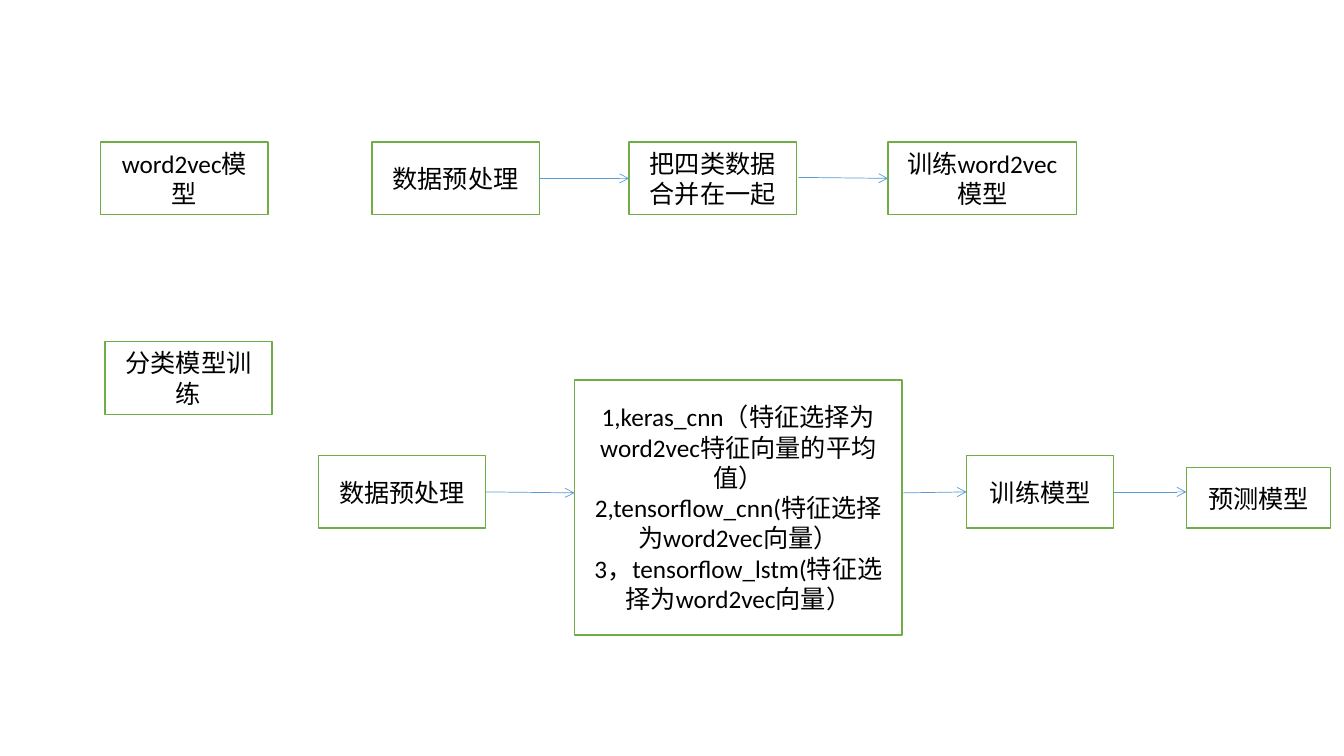
from dataclasses import dataclass

from lxml import etree
from pptx import Presentation
from pptx.dml.color import RGBColor
from pptx.enum.shapes import MSO_CONNECTOR, MSO_SHAPE
from pptx.enum.text import MSO_ANCHOR, PP_ALIGN
from pptx.oxml.ns import qn
from pptx.shapes.autoshape import Shape
from pptx.slide import Slide
from pptx.util import Inches, Pt

RECT = MSO_SHAPE.RECTANGLE
STRAIGHT = MSO_CONNECTOR.STRAIGHT
MIDDLE = MSO_ANCHOR.MIDDLE
CENTER = PP_ALIGN.CENTER
LEFT_SIDE, RIGHT_SIDE = 1, 3


@dataclass(frozen=True)
class Theme:
    fill: RGBColor = RGBColor(0xFF, 0xFF, 0xFF)
    border: RGBColor = RGBColor(0x70, 0xAD, 0x47)
    arrow: RGBColor = RGBColor(0x5B, 0x9B, 0xD5)
    text: RGBColor = RGBColor(0, 0, 0)
    font: str = "Calibri"
    text_size: float = 18
    border_width: float = 1
    arrow_width: float = 0.5


@dataclass(frozen=True)
class Box:
    key: str
    text: str
    left: float
    top: float
    width: float = 1.66
    height: float = 0.72


@dataclass(frozen=True)
class Arrow:
    """An arrow between two points, joined to the boxes named, if any."""
    start: tuple[float, float]
    end: tuple[float, float]
    source: str = ""
    target: str = ""


THEME = Theme()
SLIDE_HEIGHT = 7.5
SLIDE_WIDTH = SLIDE_HEIGHT * 16 / 9
EMBED_TOP = 1.41
CLASSIFY_TOP = 4.52

CLASSIFIERS = "\n".join([
    "1,keras_cnn（特征选择为word2vec特征向量的平均值）",
    "2,tensorflow_cnn(特征选择为word2vec向量）",
    "3，tensorflow_lstm(特征选择为word2vec向量）",
])

BOXES = [
    # word2vec flow
    Box("embed_title", "word2vec模型", 1, EMBED_TOP),
    Box("embed_prepare", "数据预处理", 3.69, EMBED_TOP),
    Box("embed_merge", "把四类数据合并在一起", 6.24, EMBED_TOP),
    Box("embed_train", "训练word2vec模型", 8.81, EMBED_TOP, 1.87),
    # Classifier flow
    Box("classify_title", "分类模型训练", 1.04, 3.39),
    Box("classify_prepare", "数据预处理", 3.16, CLASSIFY_TOP),
    Box("classifiers", CLASSIFIERS, 5.7, 3.77, 3.25, 2.53),
    Box("classify_train", "训练模型", 9.59, CLASSIFY_TOP, 1.46),
    Box("classify_predict", "预测模型", 11.77, 4.64, 1.43, 0.6),
]

ARROWS = [
    Arrow((5.35, 1.77), (6.24, 1.77), "embed_prepare", "embed_merge"),
    Arrow((7.92, 1.76), (8.81, 1.77), target="embed_train"),
    Arrow((4.82, 4.88), (5.7, 4.89), source="classify_prepare"),
    Arrow((8.95, 4.89), (9.59, 4.88), target="classify_train"),
    Arrow((11.05, 4.88), (11.77, 4.88), source="classify_train"),
]


def draw_box(slide: Slide, box: Box) -> Shape:
    sp = slide.shapes.add_shape(RECT, Inches(box.left), Inches(box.top),
                                Inches(box.width), Inches(box.height))
    sp.shadow.inherit = False
    sp.fill.solid()
    sp.fill.fore_color.rgb = THEME.fill
    sp.line.color.rgb = THEME.border
    sp.line.width = Pt(THEME.border_width)
    tf = sp.text_frame
    tf.word_wrap = True
    tf.vertical_anchor = MIDDLE
    tf.text = box.text
    for p in tf.paragraphs:
        p.alignment = CENTER
        for r in p.runs:
            r.font.name = THEME.font
            r.font.size = Pt(THEME.text_size)
            r.font.color.rgb = THEME.text
    return sp


def draw_arrow(slide: Slide, arrow: Arrow, shapes: dict[str, Shape]) -> None:
    points = [Inches(v) for v in arrow.start + arrow.end]
    cxn = slide.shapes.add_connector(STRAIGHT, *points)
    if arrow.source:
        cxn.begin_connect(shapes[arrow.source], RIGHT_SIDE)
    if arrow.target:
        cxn.end_connect(shapes[arrow.target], LEFT_SIDE)
    cxn.line.color.rgb = THEME.arrow
    cxn.line.width = Pt(THEME.arrow_width)
    # Open arrowhead, no shadow
    ln = cxn.line._get_or_add_ln()
    etree.SubElement(ln, qn("a:tailEnd"), type="arrow")
    etree.SubElement(cxn._element.spPr, qn("a:effectLst"))


def main() -> None:
    prs = Presentation()
    prs.slide_width = Inches(SLIDE_WIDTH)
    prs.slide_height = Inches(SLIDE_HEIGHT)
    blank_layout = prs.slide_layouts[6]
    slide = prs.slides.add_slide(blank_layout)

    shapes = {box.key: draw_box(slide, box) for box in BOXES}
    for arrow in ARROWS:
        draw_arrow(slide, arrow, shapes)

    prs.save("out.pptx")


if __name__ == "__main__":
    main()
